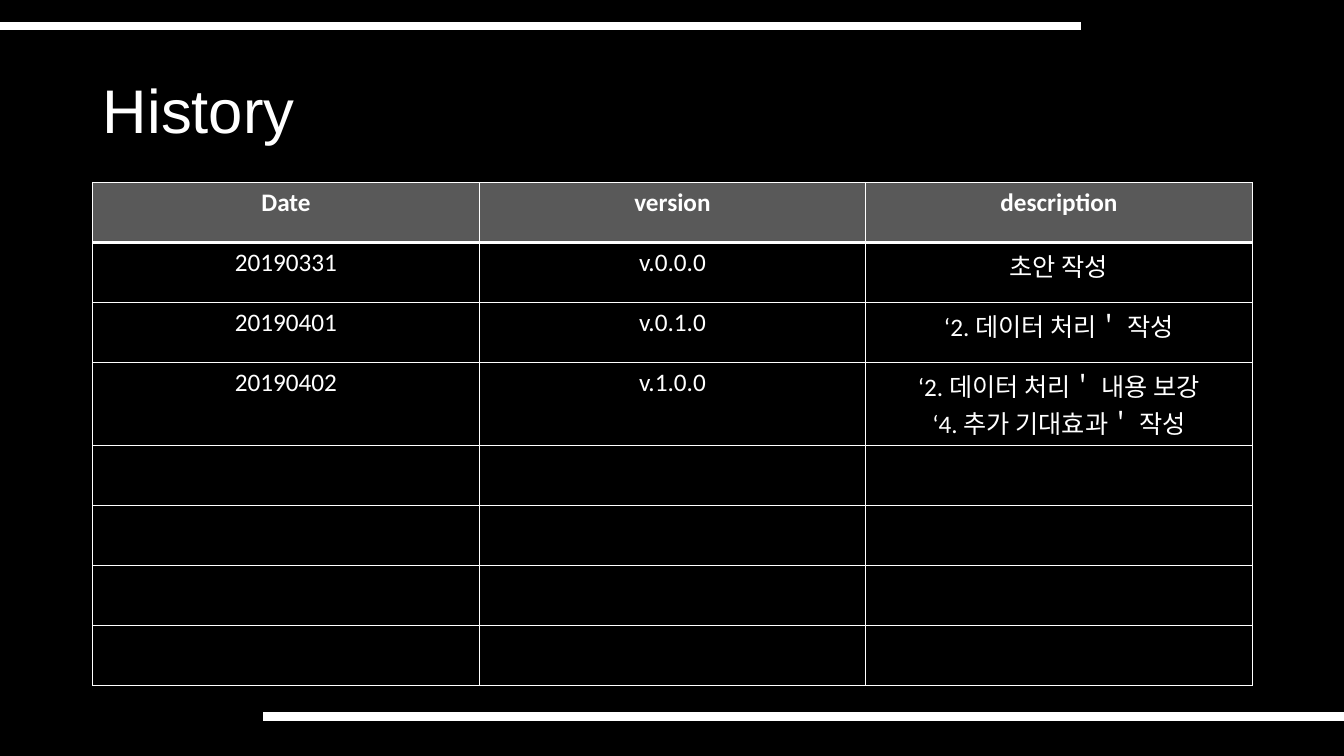
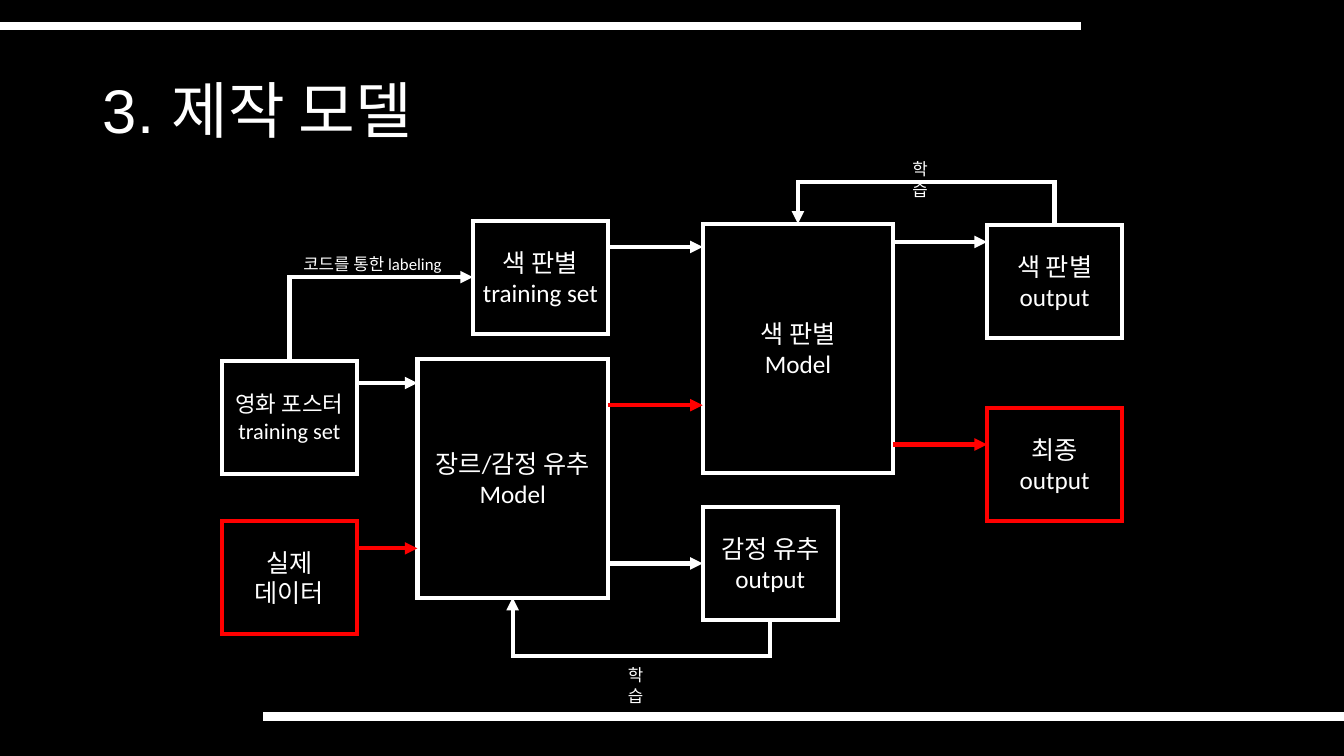
from dataclasses import dataclass
from typing import NamedTuple

import lxml.etree
import pptx
import pptx.dml.color
import pptx.enum.shapes
import pptx.enum.text
import pptx.oxml.ns
import pptx.presentation
import pptx.shapes.autoshape
import pptx.shapes.connector
import pptx.slide
import pptx.table
import pptx.text.text
import pptx.util
from pptx.util import Inches

RGB = pptx.dml.color.RGBColor
CENTER = pptx.enum.text.PP_ALIGN.CENTER
LEFT_ALIGN = pptx.enum.text.PP_ALIGN.LEFT
MIDDLE = pptx.enum.text.MSO_ANCHOR.MIDDLE
qn = pptx.oxml.ns.qn

TOP, LEFT, BOTTOM = 0, 1, 2  # connection sites


@dataclass(frozen=True)
class Theme:
    background: RGB = RGB(0x00, 0x00, 0x00)
    foreground: RGB = RGB(0xFF, 0xFF, 0xFF)
    accent: RGB = RGB(0xFF, 0x00, 0x00)
    header: RGB = RGB(0x59, 0x59, 0x59)
    title_font: str = "Arial"
    body_font: str = "Calibri"
    title_size: int = 44
    body_size: int = 18
    small_size: int = 16
    label_size: int = 12
    band_width: int = 6
    flow_width: int = 3
    grid_width: int = 1


THEME = Theme()


class Box(NamedTuple):
    left: float
    top: float
    text: str
    width: float = 1.34
    height: float = 1.12
    color: RGB = THEME.foreground
    size: int = THEME.body_size


class Arrow(NamedTuple):
    start: float
    end: float
    y: float
    color: RGB = THEME.foreground
    target: str = ""


class Elbow(NamedTuple):
    source: str
    source_site: int
    target: str
    target_site: int
    turn_y: float | None = None


class Label(NamedTuple):
    left: float
    top: float
    width: float
    text: str


HISTORY = [
    ("Date", "version", "description"),
    ("20190331", "v.0.0.0", "초안 작성"),
    ("20190401", "v.0.1.0", "‘2. 데이터 처리＇ 작성"),
    ("20190402", "v.1.0.0", "‘2. 데이터 처리＇ 내용 보강\n‘4. 추가 기대효과＇ 작성"),
] + [("", "", "")] * 4

BOXES = {
    "posters": Box(2.2, 3.58, "영화 포스터 training set", size=THEME.small_size),
    "genre model": Box(4.14, 3.56, "장르/감정 유추 Model", 1.89, 2.37),
    "color model": Box(6.97, 2.22, "색 판별\nModel", 1.89, 2.47),
    "final output": Box(9.79, 4.05, "최종\noutput", color=THEME.accent),
    "color training": Box(4.69, 2.19, "색 판별 training set"),
    "color output": Box(9.79, 2.23, "색 판별\noutput"),
    "emotion output": Box(6.97, 5.03, "감정 유추\noutput"),
    "real data": Box(2.2, 5.17, "실제 데이터", color=THEME.accent),
}

ARROWS = [
    Arrow(3.54, 4.14, 3.8),
    Arrow(6.03, 6.97, 2.45),
    Arrow(8.86, 9.79, 2.4),
    Arrow(6.03, 6.97, 5.59, target="emotion output"),
    Arrow(3.54, 4.14, 5.44, THEME.accent),
    Arrow(6.03, 6.97, 4.02, THEME.accent),
    Arrow(8.86, 9.79, 4.41, THEME.accent),
]

ELBOWS = [
    Elbow("posters", TOP, "color training", LEFT),
    Elbow("color output", TOP, "color model", TOP, 1.8),
    Elbow("emotion output", BOTTOM, "genre model", BOTTOM, 6.51),
]

LABELS = [
    Label(2.91, 2.47, 1.8, "코드를 통한 labeling"),
    Label(8.95, 1.53, 0.46, "학습"),
    Label(6.13, 6.55, 0.46, "학습"),
]


def write(
    frame: pptx.text.text.TextFrame,
    text: str,
    size: int,
    align: pptx.enum.text.PP_ALIGN = CENTER,
    font: str = THEME.body_font,
    bold: bool = False,
) -> None:
    frame.text = text
    for paragraph in frame.paragraphs:
        paragraph.alignment = align
        paragraph.font.size = pptx.util.Pt(size)
        for run in paragraph.runs:
            run.font.name = font
            run.font.size = pptx.util.Pt(size)
            run.font.bold = bold
            run.font.color.rgb = THEME.foreground


def style_line(
    shape: pptx.shapes.autoshape.Shape | pptx.shapes.connector.Connector,
    color: RGB,
    width: int,
    arrow: bool = False,
) -> None:
    """Give an outline or connector its colour, width, sharp corners and arrowhead."""
    shape.line.color.rgb = color
    shape.line.width = pptx.util.Pt(width)
    properties = shape.element.spPr
    outline = properties.find(qn("a:ln"))
    lxml.etree.SubElement(outline, qn("a:miter"), lim="800000")
    if arrow:
        lxml.etree.SubElement(outline, qn("a:tailEnd"), type="triangle")
    if properties.find(qn("a:effectLst")) is None:
        lxml.etree.SubElement(properties, qn("a:effectLst"))


def add_line(
    slide: pptx.slide.Slide, start: float, end: float, y: float
) -> pptx.shapes.connector.Connector:
    return slide.shapes.add_connector(
        pptx.enum.shapes.MSO_CONNECTOR.STRAIGHT,
        Inches(start), Inches(y), Inches(end), Inches(y),
    )


def add_titled_slide(deck: pptx.presentation.Presentation, text: str) -> pptx.slide.Slide:
    slide = deck.slides.add_slide(deck.slide_layouts.get_by_name("Title Only"))
    title = slide.shapes.title
    title.left, title.top = Inches(0.92), Inches(0.4)
    title.width, title.height = Inches(11.5), Inches(1.45)
    write(title.text_frame, text, THEME.title_size, LEFT_ALIGN, THEME.title_font)
    title.text_frame.vertical_anchor = MIDDLE
    title.text_frame.paragraphs[0].line_spacing = 0.9
    return slide


def move_bands_to_layout(slide: pptx.slide.Slide) -> None:
    """Draw the two bands and hand them to the layout that all slides share."""
    for start, end, y in ((0, 10.72, 0.26), (2.61, 13.33, 7.11)):
        band = add_line(slide, start, end, y)
        style_line(band, THEME.foreground, THEME.band_width)
        slide.slide_layout.shapes.element.append(band.element)


def style_cell(cell: pptx.table._Cell, is_header: bool) -> None:
    """Draw the cell's borders, then its fill, in the order the schema asks for."""
    properties = cell._tc.get_or_add_tcPr()
    for side in ("lnL", "lnR", "lnT", "lnB"):
        heavy = is_header and side == "lnB"
        width = THEME.flow_width if heavy else THEME.grid_width
        border = lxml.etree.SubElement(
            properties, qn(f"a:{side}"), w=str(pptx.util.Pt(width))
        )
        paint = lxml.etree.SubElement(border, qn("a:solidFill"))
        lxml.etree.SubElement(paint, qn("a:srgbClr"), val=str(THEME.foreground))
    cell.fill.solid()
    cell.fill.fore_color.rgb = THEME.header if is_header else THEME.background


def add_history_table(slide: pptx.slide.Slide) -> None:
    table = slide.shapes.add_table(
        len(HISTORY), len(HISTORY[0]),
        Inches(0.92), Inches(1.81), Inches(11.5), Inches(4.76),
    ).table
    table.horz_banding = False
    for row, entry in enumerate(HISTORY):
        for column, text in enumerate(entry):
            cell = table.cell(row, column)
            write(cell.text_frame, text, THEME.body_size, bold=row == 0)
            style_cell(cell, row == 0)


def add_box(slide: pptx.slide.Slide, box: Box) -> pptx.shapes.autoshape.Shape:
    shape = slide.shapes.add_shape(
        pptx.enum.shapes.MSO_SHAPE.RECTANGLE,
        Inches(box.left), Inches(box.top), Inches(box.width), Inches(box.height),
    )
    shape.shadow.inherit = False
    shape.fill.solid()
    shape.fill.fore_color.rgb = THEME.background
    style_line(shape, box.color, THEME.flow_width)
    write(shape.text_frame, box.text, box.size)
    shape.text_frame.word_wrap = True
    shape.text_frame.vertical_anchor = MIDDLE
    return shape


def add_elbow(
    slide: pptx.slide.Slide,
    elbow: Elbow,
    shapes: dict[str, pptx.shapes.autoshape.Shape],
) -> None:
    """Join two boxes by a bent arrow that leaves vertically and ends higher up.

    The preset runs horizontally first, so it is turned by 90 degrees about its centre.
    """
    connector = slide.shapes.add_connector(
        pptx.enum.shapes.MSO_CONNECTOR.ELBOW, 0, 0, 0, 0
    )
    connector.begin_connect(shapes[elbow.source], elbow.source_site)
    connector.end_connect(shapes[elbow.target], elbow.target_site)
    start_x, start_y = connector.begin_x, connector.begin_y
    end_x, end_y = connector.end_x, connector.end_y
    width, height = abs(end_y - start_y), abs(end_x - start_x)
    connector.left = (start_x + end_x - width) // 2
    connector.top = (start_y + end_y - height) // 2
    connector.width, connector.height = width, height

    frame = connector.element.spPr.find(qn("a:xfrm"))
    frame.set("rot", str(90 * 60000))
    frame.set("flipH", "1")
    frame.set("flipV", "1" if end_x > start_x else "0")

    geometry = connector.element.spPr.find(qn("a:prstGeom"))
    if elbow.turn_y is None:
        geometry.set("prst", "bentConnector2")
    else:
        turn = round((Inches(elbow.turn_y) - start_y) / (end_y - start_y) * 100000)
        guides = geometry.find(qn("a:avLst"))
        lxml.etree.SubElement(guides, qn("a:gd"), name="adj1", fmla=f"val {turn}")
    style_line(connector, THEME.foreground, THEME.flow_width, arrow=True)


def add_model_diagram(slide: pptx.slide.Slide) -> None:
    shapes = {part: add_box(slide, box) for part, box in BOXES.items()}
    for arrow in ARROWS:
        connector = add_line(slide, arrow.start, arrow.end, arrow.y)
        if arrow.target:
            connector.end_connect(shapes[arrow.target], LEFT)
        style_line(connector, arrow.color, THEME.flow_width, arrow=True)
    for elbow in ELBOWS:
        add_elbow(slide, elbow, shapes)
    for label in LABELS:
        frame = slide.shapes.add_textbox(
            Inches(label.left), Inches(label.top), Inches(label.width), Inches(0.3)
        ).text_frame
        frame.word_wrap = True
        write(frame, label.text, THEME.label_size, LEFT_ALIGN)


def main() -> None:
    deck = pptx.Presentation()
    deck.slide_width, deck.slide_height = Inches(13.33), Inches(7.5)
    backdrop = deck.slide_master.background.fill
    backdrop.solid()
    backdrop.fore_color.rgb = THEME.background

    history = add_titled_slide(deck, "History")
    move_bands_to_layout(history)
    add_history_table(history)
    add_model_diagram(add_titled_slide(deck, "3. 제작 모델"))
    deck.save("out.pptx")


if __name__ == "__main__":
    main()
